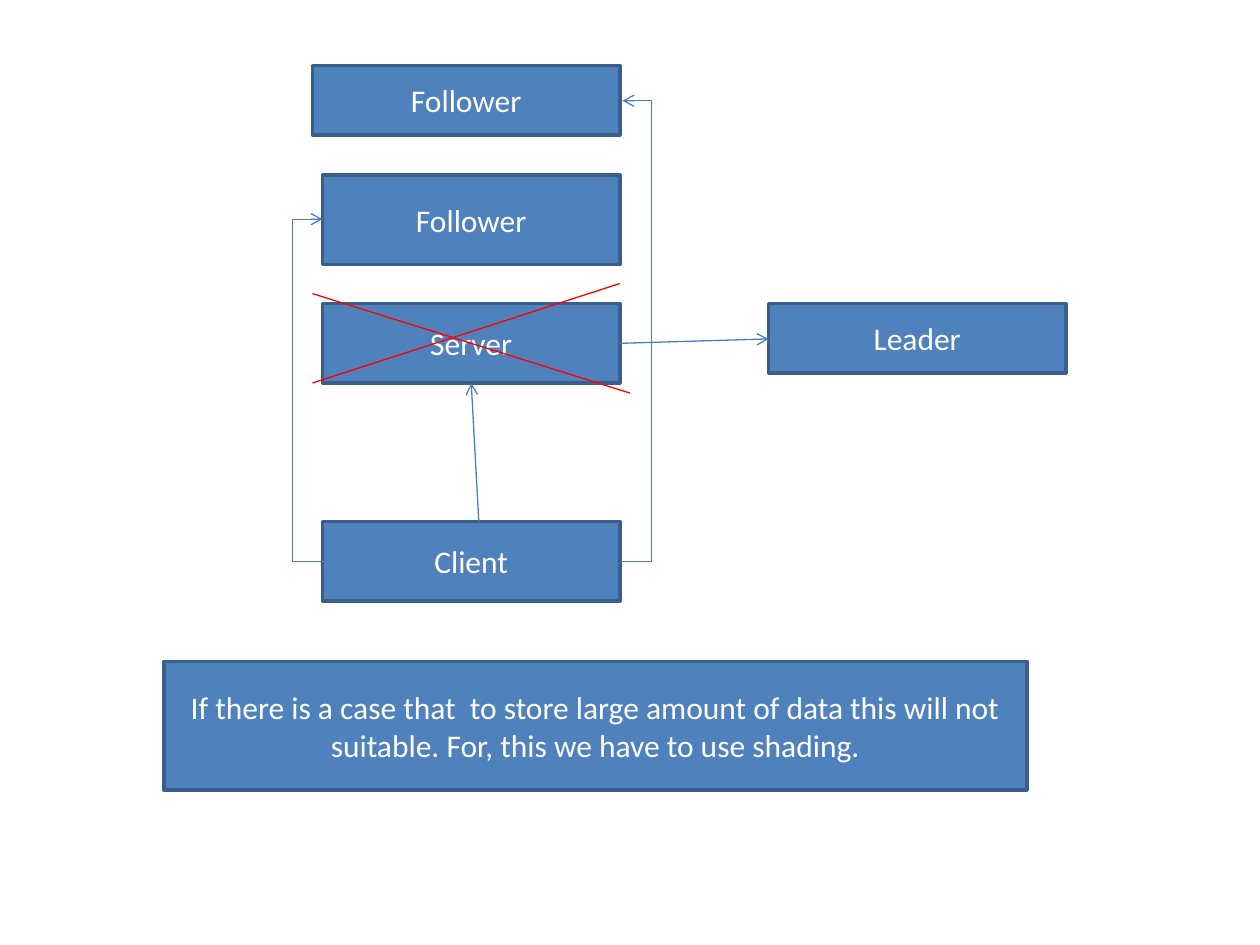
from dataclasses import dataclass

from lxml.etree import SubElement
from pptx import Presentation
from pptx.dml.color import RGBColor as Color
from pptx.enum.shapes import MSO_CONNECTOR as Link, MSO_SHAPE as Shape
from pptx.enum.text import MSO_ANCHOR as Anchor, PP_ALIGN as Align
from pptx.oxml.ns import qn
from pptx.util import Inches, Pt


@dataclass(frozen=True)
class Theme:
    font: str = "Calibri"
    size: float = 18
    text: str = "FFFFFF"
    fill: str = "4F81BD"
    border: str = "3A5F8C"
    arrow: str = "4B7EBC"
    cross: str = "FF0000"
    border_width: float = 2
    line_width: float = 0.75


THEME = Theme()


def write_text(frame, text, size=THEME.size, color=THEME.text, align=Align.CENTER):
    frame.word_wrap = True
    frame.vertical_anchor = Anchor.MIDDLE
    para = frame.paragraphs[0]
    para.alignment = align
    span = para.add_run()
    span.text = text
    span.font.name = THEME.font
    span.font.size = Pt(size)
    span.font.color.rgb = Color.from_string(color)


def add_box(page, text, box):
    shape = page.shapes.add_shape(Shape.RECTANGLE, *map(Inches, box))
    shape.shadow.inherit = False
    shape.fill.solid()
    shape.fill.fore_color.rgb = Color.from_string(THEME.fill)
    shape.line.color.rgb = Color.from_string(THEME.border)
    shape.line.width = Pt(THEME.border_width)
    write_text(shape.text_frame, text)


def add_line(page, start, end, color=THEME.arrow, arrow=True, bend_x=None):
    """Draw a straight line, or an elbow whose middle part stands at bend_x."""
    kind = Link.STRAIGHT if bend_x is None else Link.ELBOW
    line = page.shapes.add_connector(kind, *map(Inches, (*start, *end)))
    line.line.color.rgb = Color.from_string(color)
    line.line.width = Pt(THEME.line_width)
    properties = line._element.spPr
    if arrow:
        SubElement(properties.find(qn("a:ln")), qn("a:tailEnd"), type="arrow")
    SubElement(properties, qn("a:effectLst"))
    if bend_x is not None:
        ratio = (bend_x - start[0]) / (end[0] - start[0])
        guides = properties.find(qn("a:prstGeom")).get_or_add_avLst()
        SubElement(guides, qn("a:gd"), name="adj1", fmla=f"val {round(ratio * 100000)}")


def draw_cluster(page, left, top, width, height):
    """Draw the servers and the client in a column, with the leader beside it."""
    right = left + width
    leader_left = left + 3.54
    client_top = top + 3.62
    client_middle = client_top + height / 2
    server_top = top + 1.89
    server_bottom = server_top + height

    # Nodes
    nodes = [
        ("Client", (left, client_top, width, height)),
        ("Server", (left, server_top, width, height)),
        ("Follower", (left, top + 0.87, width, 0.71)),
        ("Follower", (left - 0.08, top, width + 0.08, 0.55)),
        ("Leader", (leader_left, server_top, width, 0.55)),
    ]
    for text, box in nodes:
        add_box(page, text, box)

    # Requests from the client to the server and on to the leader
    add_line(page, (left + 1.24, client_top), (left + width / 2, server_bottom))
    add_line(page, (right, server_top + height / 2), (leader_left, server_top + 0.28))

    # Cross over the failed server
    cross_left = left - 0.08
    for start, end in [
        ((cross_left, server_top - 0.08), (right + 0.08, server_bottom + 0.08)),
        ((right, server_top - 0.16), (cross_left, server_bottom)),
    ]:
        add_line(page, start, end, color=THEME.cross, arrow=False)

    # Routes around the server to the followers
    add_line(page, (left + 0.01, client_middle), (left, top + 1.22), bend_x=left - 0.24)
    add_line(page, (right, client_middle), (right + 0.02, top + 0.28), bend_x=right + 0.25)


def draw_note(page, box):
    add_box(
        page,
        "If there is a case that  to store large amount of data this will not "
        "suitable. For, this we have to use shading.",
        box,
    )


deck = Presentation()
deck.slide_width, deck.slide_height = Inches(10), Inches(7.5)
page = deck.slides.add_slide(deck.slide_layouts[6])
draw_cluster(page, left=2.56, top=0.52, width=2.36, height=0.63)
draw_note(page, (1.3, 5.25, 6.85, 1.02))
deck.save("out.pptx")
